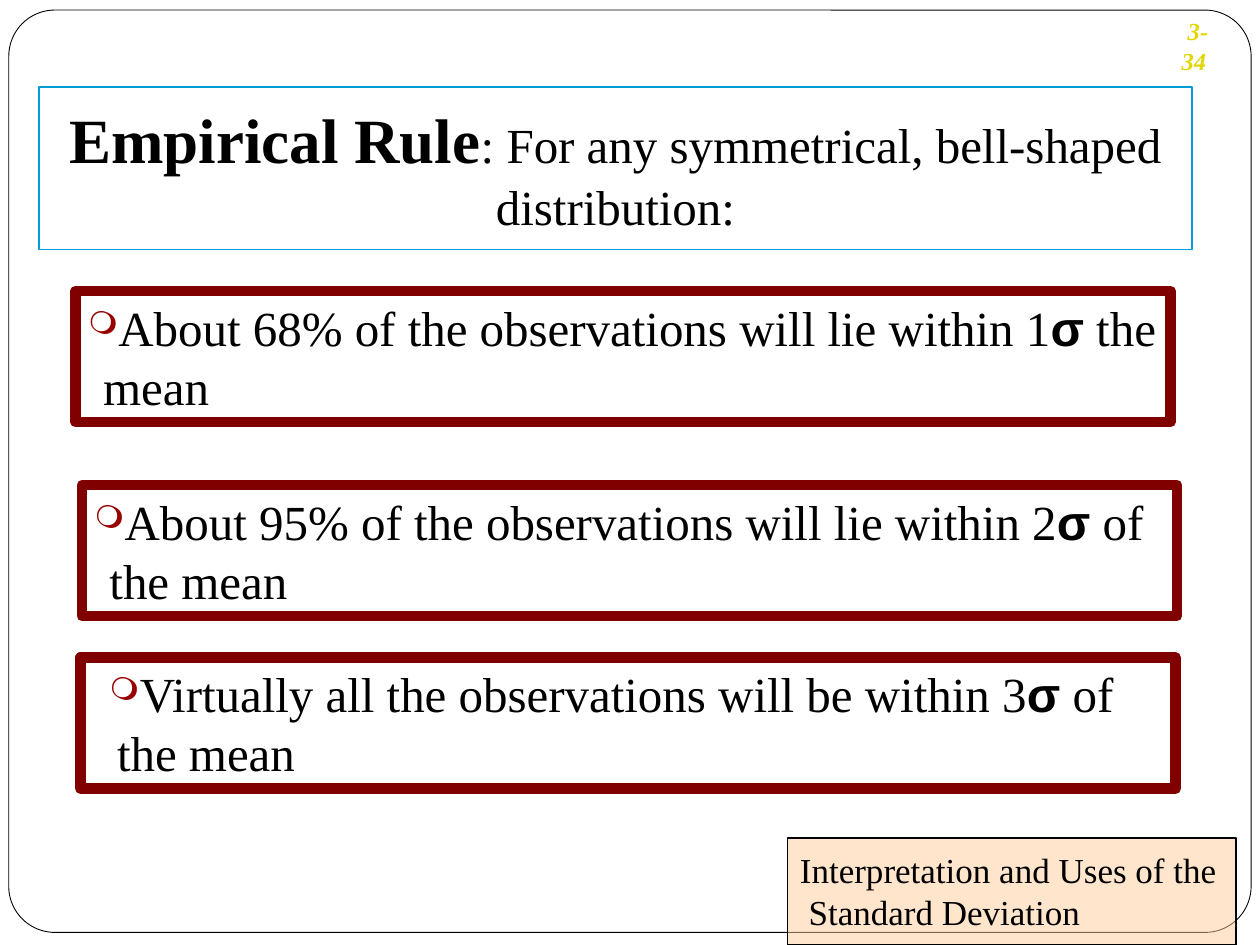
"""Builds the Empirical Rule slide with its three standard-deviation statements."""
from lxml import etree
from pptx import Presentation
from pptx.dml.color import RGBColor
from pptx.enum.shapes import MSO_SHAPE
from pptx.enum.text import MSO_ANCHOR, PP_ALIGN
from pptx.oxml.ns import qn
from pptx.util import Inches, Pt

RECT, ROUNDED = MSO_SHAPE.RECTANGLE, MSO_SHAPE.ROUNDED_RECTANGLE
TOP, BOTTOM = MSO_ANCHOR.TOP, MSO_ANCHOR.BOTTOM
LEFT, CENTER = PP_ALIGN.LEFT, PP_ALIGN.CENTER

THEME = {
    "serif": "Times New Roman", "sans": "Arial",
    "white": "FFFFFF", "black": "000000", "blue": "009DD9", "maroon": "800000",
    "bullet": "990000", "peach": "FFCC99", "yellow": "E2D700",
    "heading": 36, "body": 28, "caption": 20, "number": 14,
}

prs = Presentation()
prs.slide_width, prs.slide_height = Inches(10), Inches(7.5)
slide = prs.slides.add_slide(prs.slide_layouts[6])


def add_panel(kind, box, fill, line, weight, anchor=TOP, align=LEFT, top=0.05, bottom=0.05):
    panel = slide.shapes.add_shape(kind, *map(Inches, box))
    panel.shadow.inherit = False
    panel.fill.solid()
    panel.fill.fore_color.rgb = RGBColor.from_string(THEME[fill])
    panel.line.color.rgb = RGBColor.from_string(THEME[line])
    panel.line.width = Pt(weight)
    frame_format = {
        "word_wrap": True, "vertical_anchor": anchor,
        "margin_left": Inches(0.1), "margin_right": Inches(0.1),
        "margin_top": Inches(top), "margin_bottom": Inches(bottom),
    }
    for attribute, value in frame_format.items():
        setattr(panel.text_frame, attribute, value)
    panel.text_frame.paragraphs[0].alignment = align
    return panel


def add_run(paragraph, text, size, face="serif", bold=False, italic=False, color="black"):
    run = paragraph.add_run()
    run.text = text
    font_format = {"name": THEME[face], "size": Pt(THEME[size]), "bold": bold, "italic": italic}
    for attribute, value in font_format.items():
        setattr(run.font, attribute, value)
    run.font.color.rgb = RGBColor.from_string(THEME[color])


border = add_panel(ROUNDED, (0.07, 0.08, 9.86, 7.32), "white", "black", 0.5)
border.adjustments[0] = 0.05

heading = add_panel(RECT, (0.31, 0.69, 9.15, 1.29), "white", "blue", 1, align=CENTER, top=0.11)
heading_line = heading.text_frame.paragraphs[0]
add_run(heading_line, "Empirical Rule", "heading", bold=True)
add_run(heading_line, ": For any symmetrical, bell-shaped distribution:", "body")

statements = [
    (0.6, 2.31, 0.12, -0.12, "About 68% of the observations will lie within 1", " the mean"),
    (0.65, 3.85, 0.12, -0.12, "About 95% of the observations will lie within 2", " of the mean"),
    (0.64, 5.22, 0.19, -0.06, "Virtually all the observations will be within 3", " of the mean"),
]
for left, top, margin, indent, lead, ending in statements:
    statement = add_panel(RECT, (left, top, 8.69, 1.04), "white", "maroon", 6)
    paragraph = statement.text_frame.paragraphs[0]
    paragraph.level = 1
    properties = paragraph._p.get_or_add_pPr()
    properties.set("marL", str(Inches(margin)))
    properties.set("indent", str(Inches(indent)))
    bullet_color = etree.SubElement(properties, qn("a:buClr"))
    etree.SubElement(bullet_color, qn("a:srgbClr"), val=THEME["bullet"])
    etree.SubElement(properties, qn("a:buSzPct"), val="65000")
    etree.SubElement(properties, qn("a:buChar"), char="❍")
    add_run(paragraph, lead, "body")
    add_run(paragraph, "σ", "body", face="sans", bold=True)
    add_run(paragraph, ending, "body")

topic = add_panel(RECT, (6.25, 6.65, 3.56, 0.85), "peach", "black", 0.75, anchor=BOTTOM, bottom=0.1)
topic_color = topic.fill._xPr.find(qn("a:solidFill")).find(qn("a:srgbClr"))
etree.SubElement(topic_color, qn("a:alpha"), val="50000")
topic_lines = topic.text_frame.paragraphs[0]
add_run(topic_lines, "Interpretation and Uses of the", "caption")
topic_lines.add_line_break()
add_run(topic_lines, " Standard Deviation", "caption")

page_number = slide.shapes.add_textbox(*map(Inches, (9.28, 0.08, 0.56, 0.33)))
page_number.text_frame.word_wrap = True
add_run(page_number.text_frame.paragraphs[0], " 3- 34", "number", bold=True, italic=True, color="yellow")

prs.save("out.pptx")
